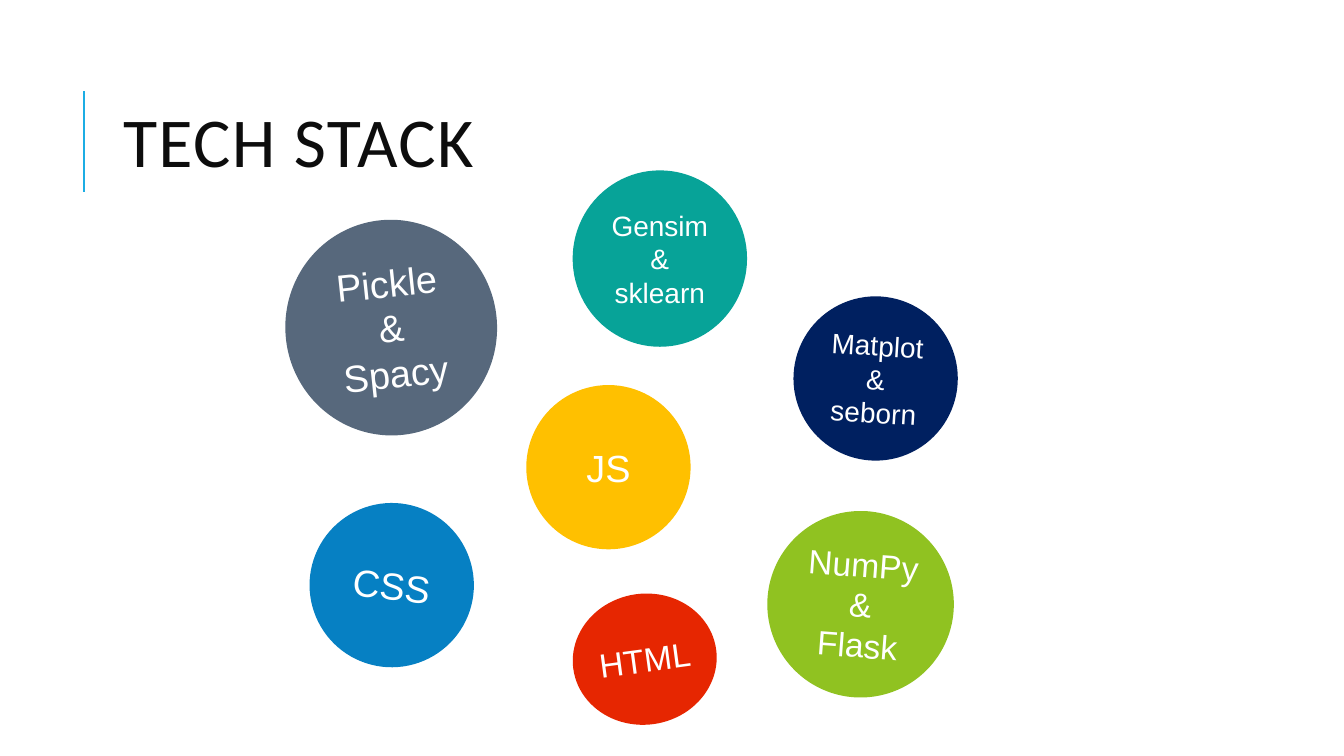
from lxml import etree
from pptx import Presentation
from pptx import util as u
from pptx.dml import color
from pptx.enum import shapes, text
from pptx.oxml import ns


def rgb(value):
    return color.RGBColor.from_string(value)


class TechSlide:
    title_font = "Calibri"
    bubble_font = "Arial"
    title_color = "0D0D0D"
    accent = "1CADE4"
    bubble_text = "FFFFFF"

    def __init__(self, presentation):
        self.slide = presentation.slides.add_slide(presentation.slide_layouts[5])

    def add_run(self, paragraph, words, font, size, hex_color):
        run = paragraph.add_run()
        run.text = words
        run.font.name = font
        run.font.size = u.Pt(size)
        run.font.color.rgb = rgb(hex_color)
        return run

    def title(self, words, left, top, width, height):
        shape = self.slide.shapes.title
        shape.left, shape.top = u.Inches(left), u.Inches(top)
        shape.width, shape.height = u.Inches(width), u.Inches(height)
        frame = shape.text_frame
        frame.word_wrap = True
        frame.auto_size = text.MSO_AUTO_SIZE.NONE
        frame.vertical_anchor = text.MSO_ANCHOR.MIDDLE
        paragraph = frame.paragraphs[0]
        paragraph.alignment = text.PP_ALIGN.LEFT
        paragraph.line_spacing = 0.8
        run = self.add_run(paragraph, words, self.title_font, 50, self.title_color)
        run.font._element.set("spc", "100")

    def rule(self, x, top, bottom):
        line = self.slide.shapes.add_connector(
            shapes.MSO_CONNECTOR.STRAIGHT,
            u.Inches(x), u.Inches(bottom), u.Inches(x), u.Inches(top))
        line.line.color.rgb = rgb(self.accent)
        line.line.width = u.Pt(1.5)
        etree.SubElement(line._element.spPr, ns.qn("a:effectLst"))

    def bubble(self, lines, left, top, width, height, rotation, fill, size):
        shape = self.slide.shapes.add_shape(
            shapes.MSO_SHAPE.OVAL, u.Inches(left), u.Inches(top),
            u.Inches(width), u.Inches(height))
        shape.rotation = rotation
        shape.shadow.inherit = False
        shape.fill.solid()
        shape.fill.fore_color.rgb = rgb(fill)
        shape.line.fill.background()
        frame = shape.text_frame
        frame.word_wrap = True
        frame.vertical_anchor = text.MSO_ANCHOR.MIDDLE
        frame.margin_left = frame.margin_right = u.Inches(0.05)
        frame.margin_top = frame.margin_bottom = u.Inches(0.05)
        for index, words in enumerate(lines):
            paragraph = frame.add_paragraph() if index else frame.paragraphs[0]
            paragraph.alignment = text.PP_ALIGN.CENTER
            self.add_run(paragraph, words, self.bubble_font, size, self.bubble_text)


BUBBLES = [
    (["CSS"], 3.07, 4.99, 1.63, 1.63, 7, "0680C3", 27),
    (["HTML"], 5.68, 5.89, 1.43, 1.3, -7.8, "E62601", 24),
    (["NumPy", "&", "Flask"], 7.61, 5.07, 1.85, 1.85, 4.4, "90C221", 24),
    (["Pickle", "&", "Spacy"], 2.83, 2.18, 2.1, 2.14, -6, "57687C", 27),
    (["Gensim", "&", "sklearn"], 5.68, 1.69, 1.73, 1.75, 0, "07A398", 20),
    (["JS"], 5.22, 3.82, 1.63, 1.63, 0, "FFC000", 27),
    (["Matplot", "&", "seborn"], 7.87, 2.94, 1.63, 1.63, 3.6, "002060", 20),
]


def main():
    presentation = Presentation()
    presentation.slide_width = u.Inches(13.33)
    presentation.slide_height = u.Inches(7.5)
    tech_slide = TechSlide(presentation)
    tech_slide.rule(0.83, 0.9, 1.9)
    tech_slide.title("TECH STACK", 1.12, 0.64, 10.63, 1.64)
    for bubble in BUBBLES:
        tech_slide.bubble(*bubble)
    presentation.save("out.pptx")


if __name__ == "__main__":
    main()
